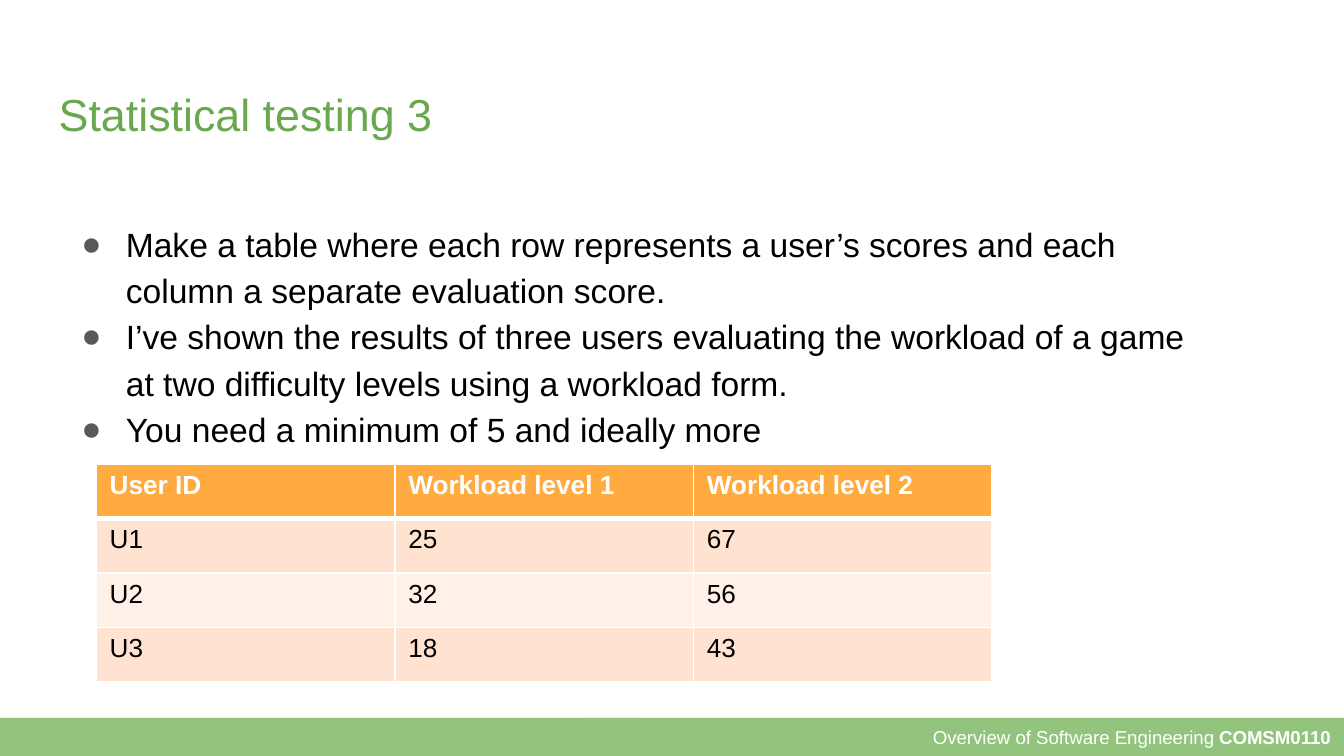
"""Build the slide on tabulating scores for statistical testing."""
from lxml import etree
from pptx import Presentation
from pptx import util as u
from pptx.dml.color import RGBColor
from pptx.enum import shapes, text
from pptx.oxml.ns import qn

HUES = {"bar": "93C47D", "title": "6AA84F", "ink": "000000", "dot": "595959",
        "white": "FFFFFF", "head": "FFAB40", "odd": "FFE2CF", "even": "FFF1E8"}
TITLE = "Statistical testing 3"
POINTS = [
    "Make a table where each row represents a user’s scores and each column a separate evaluation score.",
    "I’ve shown the results of three users evaluating the workload of a game at two difficulty levels using a workload form.",
    "You need a minimum of 5 and ideally more",
]
SCORES = [
    ("User ID", "Workload level 1", "Workload level 2"),
    ("U1", "25", "67"),
    ("U2", "32", "56"),
    ("U3", "18", "43"),
]
FOOT = [("Overview of Software Engineering ", False), ("COMSM0110", True)]
WIDE, HIGH = 25.4, 14.29
BARS = [(11.02, WIDE - 11.02), (0, 12.14)]
BAR_TOP = 13.57
PAD = 0.25


def rgb(hue):
    return RGBColor.from_string(HUES[hue])


def style(font, size, hue, bold=False):
    font.name, font.size, font.bold = "Arial", u.Pt(size), bold
    font.color.rgb = rgb(hue)


def frame(shape, anchor, low=PAD):
    area = shape.text_frame
    area.word_wrap = True
    area.vertical_anchor = anchor
    area.margin_left = area.margin_right = area.margin_top = u.Cm(PAD)
    area.margin_bottom = u.Cm(low)
    return area


def box(slide, place, anchor, low=PAD):
    return frame(slide.shapes.add_textbox(*map(u.Cm, place)), anchor, low)


def bullet(para):
    props = para._p.get_or_add_pPr()
    props.set("marL", str(u.Cm(1.27)))
    props.set("indent", str(u.Cm(-0.84)))
    tint = etree.Element(qn("a:buClr"))
    etree.SubElement(tint, qn("a:srgbClr"), val=HUES["dot"])
    face = etree.Element(qn("a:buFont"), typeface="Arial")
    mark = etree.Element(qn("a:buChar"), char="●")
    spot = 1 if props.find(qn("a:lnSpc")) is not None else 0
    for part in (mark, face, tint):
        props.insert(spot, part)


def edge(cell, side, width):
    props = cell._tc.get_or_add_tcPr()
    line = etree.SubElement(props, qn("a:ln" + side), w=str(u.Pt(width)))
    fill = etree.SubElement(line, qn("a:solidFill"))
    etree.SubElement(fill, qn("a:srgbClr"), val=HUES["white"])


def footer(slide):
    bars = []
    for left, width in BARS:
        bar = slide.shapes.add_shape(
            shapes.MSO_SHAPE.RECTANGLE, u.Cm(left), u.Cm(BAR_TOP),
            u.Cm(width), u.Cm(HIGH - BAR_TOP))
        bar.shadow.inherit = False
        bar.fill.solid()
        bar.fill.fore_color.rgb = rgb("bar")
        bar.line.fill.background()
        bars.append(bar)
    para = frame(bars[0], text.MSO_ANCHOR.MIDDLE).paragraphs[0]
    para.alignment = text.PP_ALIGN.RIGHT
    for words, bold in FOOT:
        run = para.add_run()
        run.text = words
        style(run.font, 10, "white", bold)


def points(slide):
    area = box(slide, (0.86, 3.86, 21.82, 4.01), text.MSO_ANCHOR.TOP)
    for num, words in enumerate(POINTS):
        para = area.add_paragraph() if num else area.paragraphs[0]
        para.text = words
        para.line_spacing = 1.15
        style(para.font, 18, "ink")
        bullet(para)


def scores(slide):
    rows, cols = len(SCORES), len(SCORES[0])
    place = map(u.Cm, (1.82, 8.77, 16.93, 4.12))
    grid = slide.shapes.add_table(rows, cols, *place).table
    for row, line in enumerate(SCORES):
        hue = "head" if row == 0 else "odd" if row % 2 else "even"
        for col, words in enumerate(line):
            cell = grid.cell(row, col)
            cell.text = words
            style(cell.text_frame.paragraphs[0].font, 14,
                  "ink" if row else "white", row == 0)
            for side in "LRTB":
                thick = (row, side) in ((0, "B"), (1, "T"))
                edge(cell, side, 3 if thick else 1)
            cell.fill.solid()
            cell.fill.fore_color.rgb = rgb(hue)


def main():
    deck = Presentation()
    deck.slide_width, deck.slide_height = u.Cm(WIDE), u.Cm(HIGH)
    slide = deck.slides.add_slide(deck.slide_layouts[6])
    footer(slide)
    head = box(slide, (0.86, 1.8, 23.5, 2.11), text.MSO_ANCHOR.BOTTOM, 1.5)
    head.margin_top = 0
    head.text = TITLE
    style(head.paragraphs[0].font, 24, "title")
    points(slide)
    scores(slide)
    deck.save("out.pptx")


if __name__ == "__main__":
    main()
